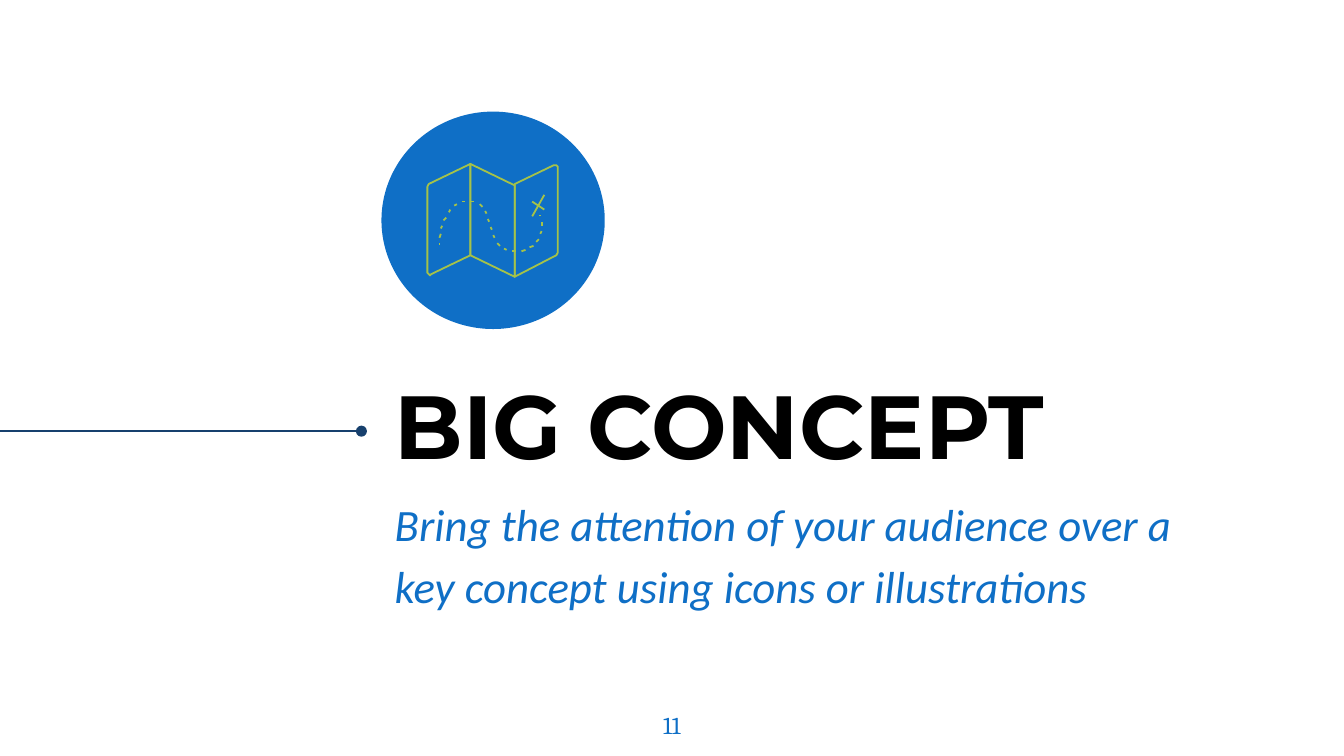
import pptx
import pptx.util
import pptx.dml.color
import pptx.enum.shapes
import pptx.enum.text
import pptx.oxml.ns
from lxml import etree

Cm, Pt = pptx.util.Cm, pptx.util.Pt
RGB = pptx.dml.color.RGBColor
ALIGN = pptx.enum.text.PP_ALIGN
ANCHOR = pptx.enum.text.MSO_ANCHOR
qn = pptx.oxml.ns.qn

BLUE = RGB(0x0F, 0x6F, 0xC6)
NAVY = RGB(0x17, 0x40, 0x6D)
GREEN = RGB(0xA5, 0xC2, 0x49)
BLACK = RGB(0, 0, 0)

UNIT = Cm(0.0254)  # one step of the icon grid
PEN = 0.96

# Map panels, on the icon grid
PANELS = [
    [(383, 138), (350, 122), (350, 190), (383, 206)],
    [(350, 122), (321, 136), (319, 137), (318, 139), (318, 203),
     (319, 204), (320, 205), (321, 204), (350, 190)],
    [(412, 123), (383, 137), (383, 206), (412, 191), (414, 190),
     (415, 188), (415, 124), (414, 123)],
]
CROSS = [(396, 150, 405, 156), (405, 145, 396, 161)]
ROUTE = [
    (327, 182, 327, 181), (327, 177, 328, 174), (328, 170, 329, 168),
    (330, 164, 332, 162), (334, 158, 335, 156), (338, 153, 340, 152),
    (344, 150, 346, 150), (350, 150, 353, 150), (357, 152, 359, 154),
    (361, 157, 362, 159), (363, 163, 364, 165), (365, 169, 366, 171),
    (367, 175, 368, 177), (370, 181, 372, 183), (375, 185, 377, 186),
    (381, 187, 384, 187), (388, 187, 391, 186), (394, 184, 397, 183),
    (399, 180, 401, 178), (402, 174, 403, 172), (403, 168, 403, 165),
    (402, 161, 402, 160),
]


class Page:
    def __init__(self, slide):
        self.shapes = slide.shapes

    def text(self, box, words, font, size, color, bold=False, slant=False,
             align=ALIGN.LEFT, anchor=ANCHOR.TOP, space=None):
        frame = self.shapes.add_textbox(*map(Cm, box)).text_frame
        frame.word_wrap = True
        frame.vertical_anchor = anchor
        frame.margin_left = frame.margin_right = Cm(0.25)
        frame.margin_top = frame.margin_bottom = Cm(0.25)
        para = frame.paragraphs[0]
        para.text = words
        para.alignment = align
        para.line_spacing = space
        para.font.name = font
        para.font.size = Pt(size)
        para.font.bold = bold
        para.font.italic = slant
        para.font.color.rgb = color

    def disc(self, box, color):
        disc = self.shapes.add_shape(
            pptx.enum.shapes.MSO_SHAPE.OVAL, *map(Cm, box))
        disc.shadow.inherit = False
        disc.fill.solid()
        disc.fill.fore_color.rgb = color
        disc.line.fill.background()

    def line(self, ends, color, width, head=None):
        line = self.shapes.add_connector(
            pptx.enum.shapes.MSO_CONNECTOR.STRAIGHT, *ends)
        line.line.color.rgb = color
        line.line.width = Pt(width)
        props = line._element.spPr
        etree.SubElement(props, qn("a:effectLst"))
        if head:
            etree.SubElement(props.find(qn("a:ln")), qn("a:headEnd"), type=head)

    def panel(self, points, color, width):
        pen = self.shapes.build_freeform(*points[0], scale=float(UNIT))
        pen.add_line_segments(points[1:], close=True)
        shape = pen.convert_to_shape()
        shape.shadow.inherit = False
        shape.fill.background()
        shape.line.color.rgb = color
        shape.line.width = Pt(width)


def main():
    deck = pptx.Presentation()
    deck.slide_width, deck.slide_height = Cm(25.4), Cm(14.29)
    page = Page(deck.slides.add_slide(deck.slide_layouts[6]))

    # Lead line
    page.line((Cm(6.83), Cm(8.15), Cm(0), Cm(8.15)), NAVY, 0.75, "oval")

    # Title and subtitle
    page.text((7.21, 6.81, 16.28, 2.46), "BIG CONCEPT", "Montserrat", 48,
              BLACK, bold=True, anchor=ANCHOR.BOTTOM)
    page.text((7.21, 8.99, 16.28, 3.2),
              "Bring the attention of your audience over a key concept "
              "using icons or illustrations",
              "Calibri", 24, BLUE, slant=True, space=1.15)

    # Map icon
    page.disc((7.21, 2.11, 4.22, 4.11), BLUE)
    for points in PANELS:
        page.panel(points, GREEN, PEN)
    for dash in CROSS + ROUTE:
        page.line([UNIT * step for step in dash], GREEN, PEN)

    # Page number
    page.text((11.94, 13.18, 1.52, 1.09), "11", "Cambria", 13, BLUE,
              align=ALIGN.CENTER)

    deck.save("out.pptx")


if __name__ == "__main__":
    main()
